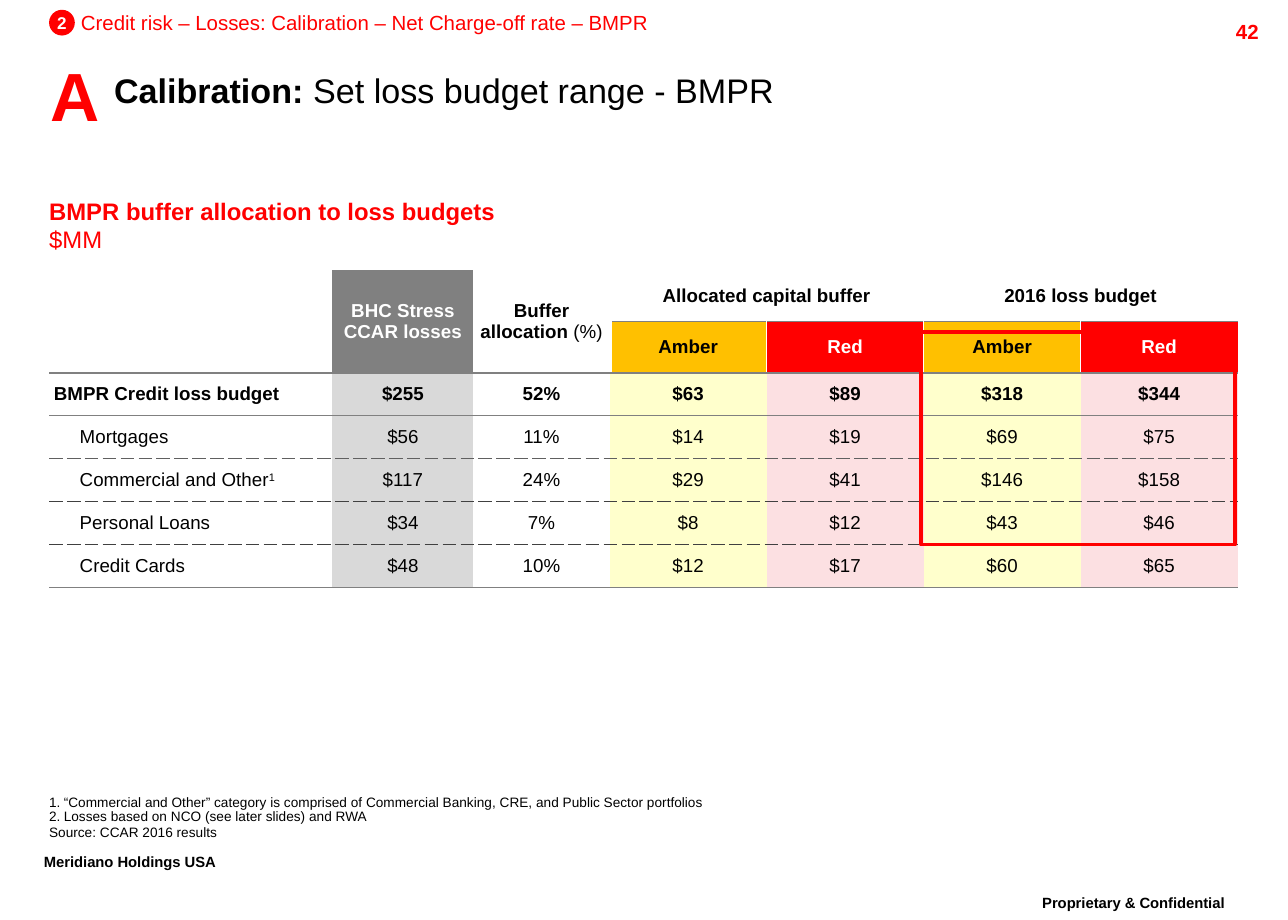
from lxml import etree
from pptx import Presentation
from pptx import util as u
from pptx.dml import color
from pptx.enum import shapes, text
from pptx.oxml import ns

COLS, ROWS = 105, 75
WIDTH, HEIGHT = u.Inches(10.5), u.Inches(7.5)
RED, BLACK, WHITE, GREY, AMBER = "FF0000", "000000", "FFFFFF", "808080", "FFC000"
LEFT, CENTER, RIGHT = text.PP_ALIGN.LEFT, text.PP_ALIGN.CENTER, text.PP_ALIGN.RIGHT
TOP, MIDDLE, BOTTOM = text.MSO_ANCHOR.TOP, text.MSO_ANCHOR.MIDDLE, text.MSO_ANCHOR.BOTTOM
TIGHT = 0.86
NO_STYLE = "{2D5ABB26-0587-4C30-8999-92F81FD0307C}"

COL_WIDTHS = [23.1, 11.5, 11.1] + [12.8] * 4
ROW_HEIGHTS = [4.2] * 2 + [3.5] * 5
COL_FILLS = [WHITE, "D9D9D9", WHITE] + ["FFFFCC", "FCE0E2"] * 2
SOLID = (GREY, "solid")
ROW_LINES = [None, SOLID, SOLID, SOLID, ("606060", "sysDash"),
             ("404040", "sysDash"), ("404040", "sysDash"), SOLID]
LOSSES = [
    ("BMPR Credit loss budget", "$255", "52%", "$63", "$89", "$318", "$344"),
    ("Mortgages", "$56", "11%", "$14", "$19", "$69", "$75"),
    ("Commercial and Other", "$117", "24%", "$29", "$41", "$146", "$158"),
    ("Personal Loans", "$34", "7%", "$8", "$12", "$43", "$46"),
    ("Credit Cards", "$48", "10%", "$12", "$17", "$60", "$65"),
]


def rgb(value):
    """Turn a hex string into a colour."""
    return color.RGBColor.from_string(value)


def across(n):
    """Length of n grid columns."""
    return round(WIDTH * n / COLS)


def down(n):
    """Length of n grid rows."""
    return round(HEIGHT * n / ROWS)


def area(x, y, w, h):
    """Grid area as left, top, width and height."""
    return across(x), down(y), across(w), down(h)


def add_sub(parent, tag, **attrs):
    """Append a drawing element with attributes."""
    return etree.SubElement(parent, ns.qn(tag), attrs)


def raise_run(r):
    """Set a run as superscript."""
    r._r.get_or_add_rPr().set("baseline", "30000")


def write(p, runs, size, ink=BLACK, bold=False, align=LEFT, spacing=None):
    """Write a string, or (text, bold) runs, into a paragraph."""
    p.alignment = align
    if spacing:
        p.line_spacing = spacing
    p.font.name, p.font.size, p.font.color.rgb = "Arial", u.Pt(size), rgb(ink)
    if isinstance(runs, str):
        p.font.bold = bold
        runs = [(runs, None)]
    for words, weight in runs:
        r = p.add_run()
        r.text, r.font.bold = words, weight


def set_frame(tf, inset=(0, 0), anchor=TOP, wrap=True):
    """Set insets in inches, anchor and wrapping of a text frame."""
    tf.margin_left = tf.margin_right = u.Inches(inset[0])
    tf.margin_top = tf.margin_bottom = u.Inches(inset[1])
    tf.vertical_anchor, tf.word_wrap = anchor, wrap
    tf.auto_size = text.MSO_AUTO_SIZE.NONE


def add_label(s, place, lines, inset=(0, 0), wrap=True, **style):
    """Add a text box with one paragraph a line."""
    tf = s.shapes.add_textbox(*area(*place)).text_frame
    set_frame(tf, inset, wrap=wrap)
    for i, line in enumerate(lines):
        write(tf.add_paragraph() if i else tf.paragraphs[0], line, **style)
    return tf


def add_outline(s, kind, place, fill=None, line=None):
    """Add a shadowless preset shape with an optional fill and line."""
    sp = s.shapes.add_shape(kind, *area(*place))
    sp.shadow.inherit = False
    for paint, value in ((sp.fill, fill), (sp.line.fill, line)):
        if value:
            paint.solid()
            paint.fore_color.rgb = rgb(value)
        else:
            paint.background()
    return sp


def set_border(cell, side, line, width=1):
    """Draw one border of a cell."""
    value, dash = line
    ln = add_sub(cell._tc.get_or_add_tcPr(), f"a:ln{side}", w=str(u.Pt(width)))
    add_sub(add_sub(ln, "a:solidFill"), "a:srgbClr", val=value)
    add_sub(ln, "a:prstDash", val=dash)


def fill_cell(cell, runs, fill, lines, sides=(), indent=0.04, **style):
    """Write, border and fill a table cell."""
    cell.margin_left, cell.margin_right = u.Inches(indent), u.Inches(0.04)
    cell.margin_top = cell.margin_bottom = u.Inches(0.03)
    cell.vertical_anchor = MIDDLE
    write(cell.text_frame.paragraphs[0], runs, size=11, **style)
    for side, width in sides:
        set_border(cell, side, (WHITE, "solid"), width)
    for side, line in zip("TB", lines):
        if line:
            set_border(cell, side, line)
    cell.fill.solid()
    cell.fill.fore_color.rgb = rgb(fill)


def add_header(tbl):
    """Fill the two header rows."""
    heads = [
        (0, 1, 0, "", WHITE, BLACK),
        (1, 1, 1, "BHC Stress CCAR losses", GREY, WHITE),
        (2, 1, 2, [("Buffer allocation ", True), ("(%)", False)], WHITE, BLACK),
        (3, 0, 4, "Allocated capital buffer", WHITE, BLACK),
        (5, 0, 6, "2016 loss budget", WHITE, BLACK),
    ]
    for c, last_row, last_col, words, fill, ink in heads:
        tbl.cell(0, c).merge(tbl.cell(last_row, last_col))
        fill_cell(tbl.cell(0, c), words, fill, (None, SOLID),
                  ink=ink, bold=True, align=CENTER)
    levels = [("Amber", AMBER, BLACK), ("Red", RED, WHITE)] * 2
    edges = [(("L", 3), ("R", 1)), (("L", 1), ("R", 1)), (("L", 1),), ()]
    for c, ((words, fill, ink), sides) in enumerate(zip(levels, edges), 3):
        fill_cell(tbl.cell(1, c), words, fill, (SOLID, SOLID), sides,
                  ink=ink, bold=True, align=CENTER)


def add_loss_table(s):
    """Add the loss budget table."""
    place = area(4, 22, sum(COL_WIDTHS), sum(ROW_HEIGHTS))
    tbl = s.shapes.add_table(len(ROW_HEIGHTS), len(COL_WIDTHS), *place).table
    tbl.first_row = tbl.horz_banding = False
    tbl._tbl.tblPr.find(ns.qn("a:tableStyleId")).text = NO_STYLE
    for column, n in zip(tbl.columns, COL_WIDTHS):
        column.width = across(n)
    for line, n in zip(tbl.rows, ROW_HEIGHTS):
        line.height = down(n)
    add_header(tbl)
    for i, values in enumerate(LOSSES, 2):
        total = i == 2
        for c, value in enumerate(values):
            fill_cell(tbl.cell(i, c), value, COL_FILLS[c], ROW_LINES[i:i + 2],
                      indent=0.04 if c or total else 0.25, bold=total,
                      align=CENTER if c else LEFT)
    r = tbl.cell(4, 0).text_frame.paragraphs[0].add_run()
    r.text = "1"
    raise_run(r)


def add_footnotes(s):
    """Add the numbered notes and the source line."""
    notes = ["“Commercial and Other” category is comprised of Commercial Banking, "
             "CRE, and Public Sector portfolios",
             "Losses based on NCO (see later slides) and RWA"]
    tf = s.shapes.add_textbox(*area(4, 64.8, 62.2, 3.7)).text_frame
    set_frame(tf, anchor=BOTTOM)
    for i, note in enumerate(notes):
        p = tf.add_paragraph() if i else tf.paragraphs[0]
        pPr = p._p.get_or_add_pPr()
        pPr.set("marL", str(u.Inches(0.12)))
        pPr.set("indent", str(-u.Inches(0.12)))
        add_sub(pPr, "a:buFont", typeface="+mj-lt")
        add_sub(pPr, "a:buAutoNum", type="arabicPeriod")
        write(p, note, size=8, spacing=TIGHT)
    write(tf.add_paragraph(), "Source: CCAR 2016 results", size=8)


def main():
    """Build the slide."""
    prs = Presentation()
    prs.slide_width, prs.slide_height = WIDTH, HEIGHT
    s = prs.slides.add_slide(prs.slide_layouts[5])
    title = s.shapes.title
    title.left, title.top, title.width, title.height = area(9.3, 4.9, 89.3, 4.8)
    set_frame(title.text_frame, anchor=MIDDLE)
    write(title.text_frame.paragraphs[0],
          [("Calibration: ", True), ("Set loss budget range - BMPR", False)], size=20)
    for place, words, align in (((81.5, 72.5, 21.8, 3.5), "Proprietary & Confidential", CENTER),
                                ((2.6, 69.1, 19.1, 3.5), "Meridiano Holdings USA", LEFT)):
        tf = add_label(s, place, [words], (0.1, 0.05), size=15, bold=True,
                       align=align, spacing=TIGHT)
        raise_run(tf.paragraphs[0].runs[0])
    add_label(s, (93.6, 1.1, 10, 2.4), ["42"], (0.1, 0.05), size=12, ink=RED,
              bold=True, align=RIGHT)
    add_label(s, (6.6, 0.8, 46.4, 2),
              ["Credit risk – Losses: Calibration – Net Charge-off rate – BMPR"],
              wrap=False, size=12, ink=RED)
    badge = add_outline(s, shapes.MSO_SHAPE.OVAL, (4, 0.8, 2.1, 2.1), fill=RED)
    set_frame(badge.text_frame, anchor=MIDDLE, wrap=False)
    write(badge.text_frame.paragraphs[0], "2", 10, WHITE, True, CENTER)
    add_label(s, (3.1, 3.9, 6.1, 7.7), ["A"], (0.1, 0.05), wrap=False, size=40,
              ink=RED, bold=True, align=CENTER)
    add_label(s, (4, 16, 57.5, 4.7),
              [[("BMPR buffer allocation to loss budgets", True)], [("$MM", False)]],
              size=14, ink=RED)
    add_loss_table(s)
    frame = add_outline(s, shapes.MSO_SHAPE.RECTANGLE, (75.1, 27.1, 25.6, 17.3), line=RED)
    frame.line.width = u.Pt(2.25)
    add_footnotes(s)
    prs.save("out.pptx")


if __name__ == "__main__":
    main()
